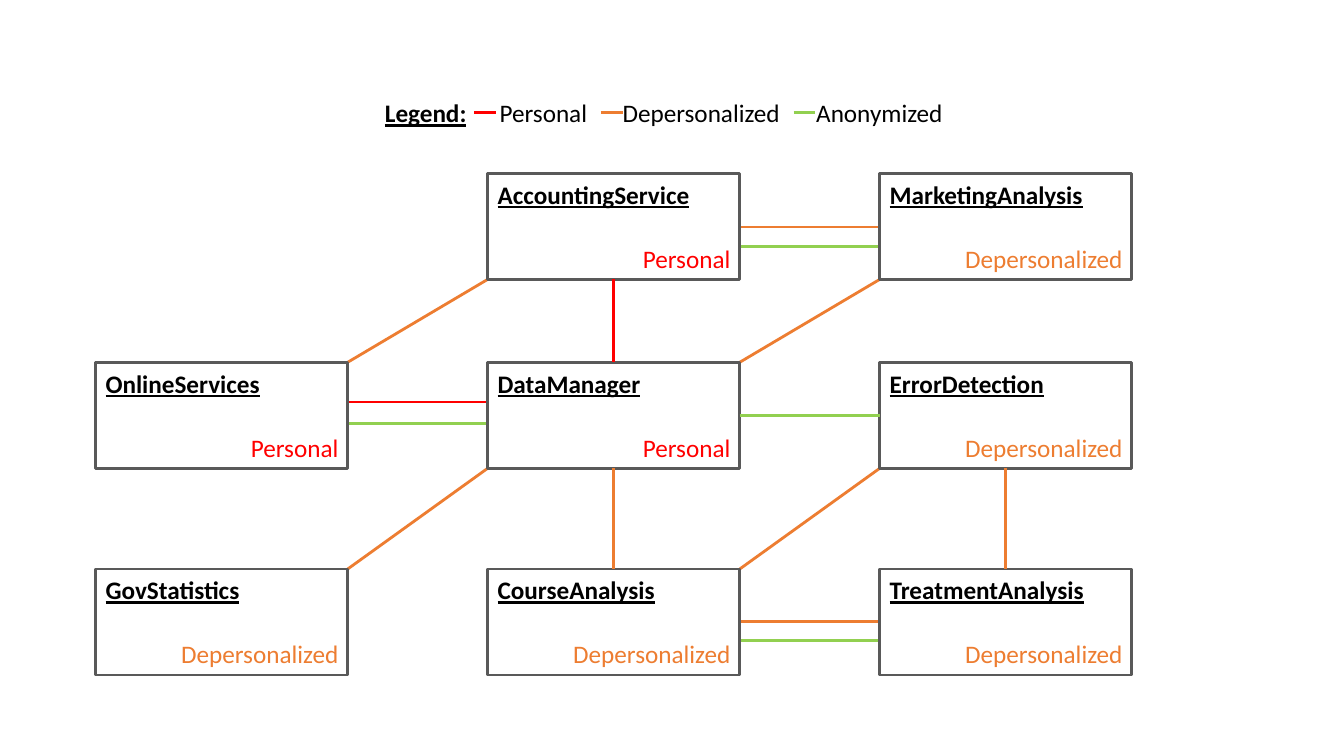
from lxml.etree import SubElement
from pptx import Presentation
from pptx.dml.color import RGBColor
from pptx.enum.shapes import MSO_CONNECTOR, MSO_SHAPE
from pptx.enum.text import MSO_AUTO_SIZE, PP_ALIGN
from pptx.oxml.ns import qn
from pptx.util import Cm, Pt

BLACK, GREY = "000000", "595959"
COLORS = {"Personal": "FF0000", "Depersonalized": "ED7D31", "Anonymized": "92D050"}
TOP, LEFT, BOTTOM, RIGHT = range(4)

COLUMNS = [2.41 + 9.88 * index for index in range(3)]
ROWS = [4.37, 9.13, 14.34]
BOX_WIDTH, BOX_HEIGHT = 6.35, 2.67
TEXT_HEIGHT = 1.02

SERVICES = {
    "AccountingService": (1, 0, "Personal"),
    "MarketingAnalysis": (2, 0, "Depersonalized"),
    "OnlineServices": (0, 1, "Personal"),
    "DataManager": (1, 1, "Personal"),
    "ErrorDetection": (2, 1, "Depersonalized"),
    "GovStatistics": (0, 2, "Depersonalized"),
    "CourseAnalysis": (1, 2, "Depersonalized"),
    "TreatmentAnalysis": (2, 2, "Depersonalized"),
}
JOINED = [
    ("AccountingService", BOTTOM, "DataManager", TOP, "Personal"),
    ("DataManager", BOTTOM, "CourseAnalysis", TOP, "Depersonalized"),
    ("ErrorDetection", BOTTOM, "TreatmentAnalysis", TOP, "Depersonalized"),
    ("DataManager", RIGHT, "ErrorDetection", LEFT, "Anonymized"),
]
DIAGONALS = [
    ("OnlineServices", "AccountingService"),
    ("DataManager", "MarketingAnalysis"),
    ("GovStatistics", "DataManager"),
    ("CourseAnalysis", "ErrorDetection"),
]
PARALLEL = [
    ("AccountingService", "Depersonalized", 1.35),
    ("AccountingService", "Anonymized", 1.84),
    ("OnlineServices", "Personal", 1.0),
    ("OnlineServices", "Anonymized", 1.54),
    ("CourseAnalysis", "Depersonalized", 1.32),
    ("CourseAnalysis", "Anonymized", 1.8),
]
LEGEND_SWATCHES = {"Personal": 11.94, "Depersonalized": 15.14, "Anonymized": 20.0}


def color(value):
    return RGBColor.from_string(value)


class Diagram:
    font_format = {"name": "Calibri", "size": Pt(18)}
    line_width = Pt(2)

    def __init__(self, slide):
        self.slide = slide

    def box(self, left, top):
        box = self.slide.shapes.add_shape(
            MSO_SHAPE.RECTANGLE, Cm(left), Cm(top), Cm(BOX_WIDTH), Cm(BOX_HEIGHT))
        box.shadow.inherit = False
        box.fill.background()
        box.line.color.rgb = color(GREY)
        box.line.width = self.line_width
        return box

    def text(self, text, left, top, width, fill=BLACK, align=PP_ALIGN.LEFT, tabs=(), **extra):
        box = self.slide.shapes.add_textbox(Cm(left), Cm(top), Cm(width), Cm(TEXT_HEIGHT))
        frame = box.text_frame
        frame.word_wrap = True
        frame.auto_size = MSO_AUTO_SIZE.SHAPE_TO_FIT_TEXT
        para = frame.paragraphs[0]
        para.alignment = align
        if tabs:
            tab_list = SubElement(para._p.get_or_add_pPr(), qn("a:tabLst"))
            for position in tabs:
                SubElement(tab_list, qn("a:tab"), pos=str(Cm(position)), algn="l")
        span = para.add_run()
        span.text = text
        for name, value in {**self.font_format, **extra}.items():
            setattr(span.font, name, value)
        span.font.color.rgb = color(fill)

    def heading(self, text, left, top, width):
        self.text(text, left, top, width, bold=True, underline=True)

    def line(self, kind, start=(0, 0), end=(0, 0)):
        line = self.slide.shapes.add_connector(
            MSO_CONNECTOR.STRAIGHT, *(Cm(value) for value in (*start, *end)))
        line.line.color.rgb = color(COLORS[kind])
        line.line.width = self.line_width
        SubElement(line._element.spPr, qn("a:effectLst"))
        return line

    def joined_line(self, kind, first, first_side, second, second_side):
        line = self.line(kind)
        line.begin_connect(first, first_side)
        line.end_connect(second, second_side)


def corner(service):
    column, row, _ = SERVICES[service]
    return COLUMNS[column], ROWS[row]


def main():
    deck = Presentation()
    deck.slide_width, deck.slide_height = Cm(33.87), Cm(19.05)
    page = deck.slides.add_slide(deck.slide_layouts[6])
    diagram = Diagram(page)

    diagram.heading("Legend:", 9.45, 2.34, 2.64)
    diagram.text("\t".join(COLORS), 12.34, 2.34, 12.2, tabs=(3.1, 7.98))
    for kind, left in LEGEND_SWATCHES.items():
        diagram.line(kind, (left, 2.84), (left + 0.55, 2.84))

    for first, second in DIAGONALS:
        left, top = corner(first)
        end_left, end_top = corner(second)
        diagram.line("Depersonalized", (left + BOX_WIDTH, top), (end_left, end_top + BOX_HEIGHT))
    for service, kind, offset in PARALLEL:
        left, top = corner(service)
        start = left + BOX_WIDTH
        end = COLUMNS[SERVICES[service][0] + 1]
        diagram.line(kind, (start, top + offset), (end, top + offset))

    boxes = {}
    for service, (_, _, kind) in SERVICES.items():
        left, top = corner(service)
        boxes[service] = diagram.box(left, top)
        diagram.heading(service, left, top + 0.02, BOX_WIDTH)
        diagram.text(kind, left + 0.02, top + 1.63, BOX_WIDTH, COLORS[kind], PP_ALIGN.RIGHT)

    for first, first_side, second, second_side, kind in JOINED:
        diagram.joined_line(kind, boxes[first], first_side, boxes[second], second_side)

    deck.save("out.pptx")


if __name__ == "__main__":
    main()
